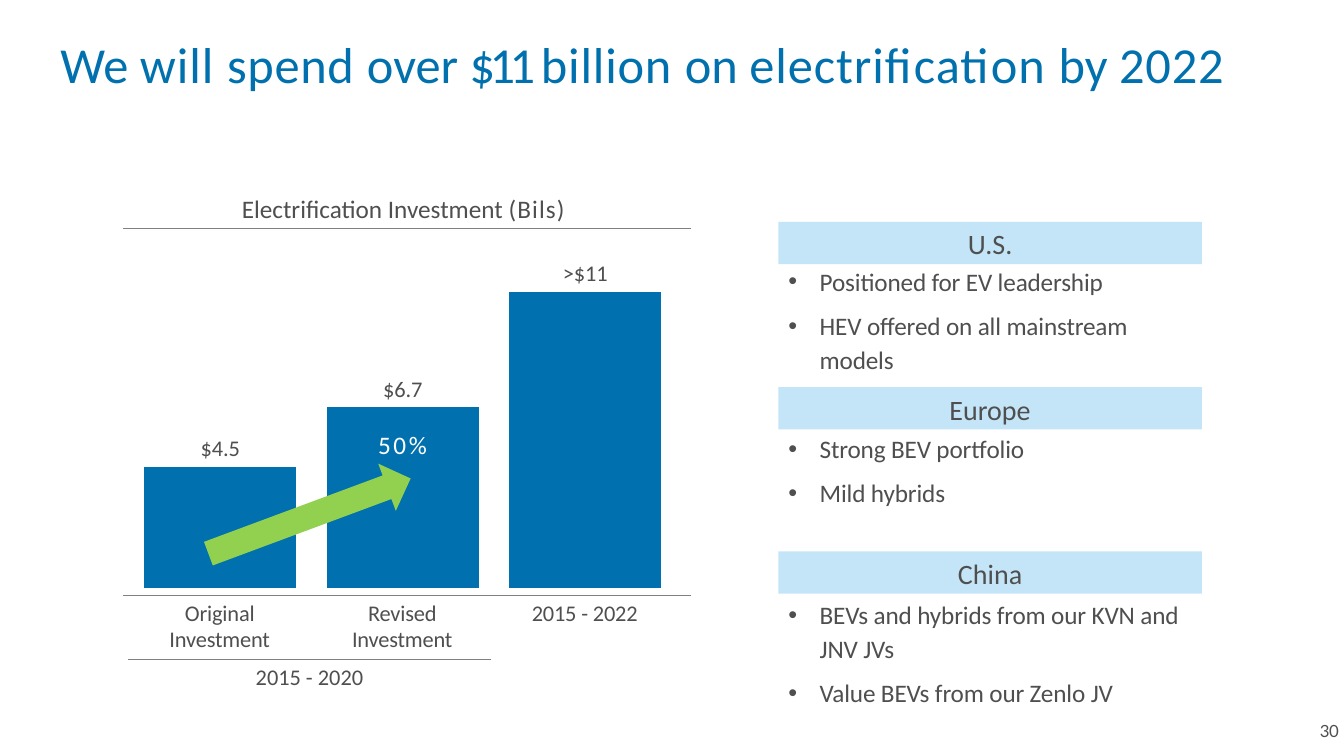
import pptx
import pptx.util
import pptx.chart.data
import pptx.dml.color
import pptx.enum.chart
import pptx.enum.shapes
import pptx.enum.text
import pptx.oxml
import pptx.oxml.ns
from pptx.util import Inches, Pt

THEME = {
    "blue": "0071AE", "pale": "C4E5F7", "green": "92D050",
    "text": "4F4F4F", "rule": "808080", "white": "FFFFFF",
    "font": "Calibri", "number_font": "Lato",
    "title": 36, "region": 20, "body": 18, "label": 16, "number": 12,
}

# Runs are (text, letter spacing in points)
TITLE = [("We ", 0), ("will ", 0.7), ("spend ", 0.5), ("over ", 0), ("$11 ", -4),
         ("billion ", 0.6), ("on ", 0), ("electrification ", 0.7), ("by ", 0), ("2022", 0.6)]
HEADING = [("Electrification Investment ", 0), ("(Bils)", 0.8)]
INVESTMENT = [("Original Investment", 4.5), ("Revised Investment", 6.7), ("2015 - 2022", 11)]
GROUP_LABEL = "2015 - 2020"
GROWTH = [("50%", 1.9)]
PAGE = "30"

# name, header top, list top, list width, [(bullet, line spacing, space before)]
REGIONS = [
    ("U.S.", 2.2, 2.64, 3.44, [("Positioned for EV leadership", 1, 0),
                               ("HEV offered on all mainstream models", 1.1, 8)]),
    ("Europe", 3.84, 4.3, 3.44, [("Strong BEV portfolio", 1, 0),
                                 ("Mild hybrids", 1, 10)]),
    ("China", 5.47, 5.92, 4.0, [("BEVs and hybrids from our KVN and JNV JVs", 1.1, 0),
                                ("Value BEVs from our Zenlo JV", 1, 10)]),
]
LIST_PLACEHOLDERS = (1, 2, 4)
REGION_LEFT, REGION_W, REGION_H = 7.72, 4.2, 0.42

# Plot area: bars stand on BASE, one slot per bar
PLOT_LEFT, SLOT, BASE = 1.28, 1.81, 5.83
PLOT_H, AXIS_MAX, GAP = 3.2, 12, 20
CHART = (1.22, 2.3, 5.63, 3.6)
RULES = [(1.22, 2.27, 5.63), (1.22, 5.91, 5.63), (1.27, 6.54, 3.6)]

ALIGN = pptx.enum.text.PP_ALIGN
ANCHOR = pptx.enum.text.MSO_ANCHOR
SHAPE = pptx.enum.shapes.MSO_SHAPE


def rgb(name):
    return pptx.dml.color.RGBColor.from_string(THEME[name])


def place(sp, left, top, width, height):
    sp.left, sp.top = Inches(left), Inches(top)
    sp.width, sp.height = Inches(width), Inches(height)


def write(p, text, size="label", color="text", font="font", align=ALIGN.LEFT,
          spacing=0.0, line=1, before=0):
    """Fill a paragraph from a string or a list of (text, letter spacing) runs."""
    p.alignment, p.line_spacing, p.space_before = align, line, Pt(before)
    for words, spc in [(text, spacing)] if isinstance(text, str) else text:
        r = p.add_run()
        r.text = words
        r.font.name, r.font.size = THEME[font], Pt(THEME[size])
        r.font.bold, r.font.color.rgb = False, rgb(color)
        r._r.get_or_add_rPr().set("spc", str(round(spc * 100)))


def frame(sp, top=0.01):
    tf = sp.text_frame
    tf.word_wrap = True
    tf.auto_size = pptx.enum.text.MSO_AUTO_SIZE.NONE
    tf.vertical_anchor = ANCHOR.TOP
    tf.margin_left = tf.margin_right = tf.margin_bottom = 0
    tf.margin_top = Inches(top)
    return tf


def add_label(s, text, left, top, width, height, **fmt):
    sp = s.shapes.add_textbox(*map(Inches, (left, top, width, height)))
    write(frame(sp).paragraphs[0], text, **fmt)


def add_filled(s, shape, color, left, top, width, height):
    sp = s.shapes.add_shape(shape, *map(Inches, (left, top, width, height)))
    sp.shadow.inherit = False
    sp.fill.solid()
    sp.fill.fore_color.rgb = rgb(color)
    sp.line.fill.background()
    return sp


def add_rule(s, left, top, width):
    line = s.shapes.add_connector(pptx.enum.shapes.MSO_CONNECTOR.STRAIGHT, Inches(left),
                                  Inches(top), Inches(left + width), Inches(top))
    line.line.color.rgb, line.line.width = rgb("rule"), Pt(0.96)
    pptx.oxml.ns.qn("a:effectLst")
    line._element.spPr.append(pptx.oxml.parse_xml(
        f'<a:effectLst {pptx.oxml.ns.nsdecls("a")}/>'))


def add_bullet(p):
    pPr = p._p.get_or_add_pPr()
    pPr.set("marL", str(Inches(0.33)))
    pPr.set("indent", str(Inches(-0.31)))
    ns = pptx.oxml.ns.nsdecls("a")
    pPr.append(pptx.oxml.parse_xml(f'<a:buFont {ns} typeface="Arial"/>'))
    pPr.append(pptx.oxml.parse_xml(f'<a:buChar {ns} char="•"/>'))


def fix_plot_area(chart):
    """Pin the inner plot area so that the bars line up with their labels."""
    left, top, width, height = CHART
    parts = {"x": (PLOT_LEFT - left) / width, "y": (BASE - PLOT_H - top) / height,
             "w": SLOT * len(INVESTMENT) / width, "h": PLOT_H / height}
    modes = "".join(f'<c:{k}Mode val="edge"/>' for k in "xy")
    sizes = "".join(f'<c:{k} val="{v:.4f}"/>' for k, v in parts.items())
    area = chart._chartSpace.chart.plotArea
    for old in area.findall(pptx.oxml.ns.qn("c:layout")):
        area.remove(old)
    area.insert(0, pptx.oxml.parse_xml(
        f'<c:layout {pptx.oxml.ns.nsdecls("c")}><c:manualLayout>'
        f'<c:layoutTarget val="inner"/>{modes}{sizes}</c:manualLayout></c:layout>'))


def add_investment_chart(s):
    data = pptx.chart.data.CategoryChartData()
    data.categories = [name for name, _ in INVESTMENT]
    data.add_series("Electrification Investment", [value for _, value in INVESTMENT])
    chart = s.shapes.add_chart(pptx.enum.chart.XL_CHART_TYPE.COLUMN_CLUSTERED,
                               *map(Inches, CHART), data).chart
    chart.has_legend = chart.has_title = False
    chart.font.name, chart.font.size = THEME["font"], Pt(THEME["label"])
    chart.font.color.rgb = rgb("text")
    axis = chart.value_axis
    axis.minimum_scale, axis.maximum_scale = 0, AXIS_MAX
    axis.has_major_gridlines = False
    axis.visible = chart.category_axis.visible = False
    plot = chart.plots[0]
    plot.gap_width, plot.vary_by_categories = GAP, False
    fill = plot.series[0].format.fill
    fill.solid()
    fill.fore_color.rgb = rgb("blue")
    plot.has_data_labels = True
    labels = plot.data_labels
    labels.show_value = True
    labels.number_format = '[>10]">$"0;"$"0.0'
    labels.number_format_is_linked = False
    labels.position = pptx.enum.chart.XL_LABEL_POSITION.OUTSIDE_END
    fix_plot_area(chart)


def add_region(s, body, name, header_top, list_top, list_width, bullets):
    header = add_filled(s, SHAPE.RECTANGLE, "pale", REGION_LEFT, header_top, REGION_W, REGION_H)
    write(frame(header, top=0.05).paragraphs[0], name, size="region", align=ALIGN.CENTER)
    place(body, 7.8, list_top, list_width, 1.12)
    tf = frame(body, top=0)
    for i, (text, line, before) in enumerate(bullets):
        p = tf.add_paragraph() if i else tf.paragraphs[0]
        add_bullet(p)
        write(p, text, size="body", spacing=-0.1, line=line, before=before)


def main():
    prs = pptx.Presentation()
    prs.slide_width, prs.slide_height = Inches(13.33), Inches(7.5)
    s = prs.slides.add_slide(prs.slide_layouts[4])
    bodies = {sp.placeholder_format.idx: sp for sp in s.placeholders}

    title = s.shapes.title
    place(title, 0.6, 0.32, 11.98, 1.18)
    write(frame(title).paragraphs[0], TITLE, size="title", color="blue")

    add_investment_chart(s)
    add_label(s, HEADING, 1.2, 1.91, 5.6, 0.33, size="body", align=ALIGN.CENTER)
    for rule in RULES:
        add_rule(s, *rule)
    for i, (name, _) in enumerate(INVESTMENT):
        add_label(s, name, PLOT_LEFT + SLOT * i + 0.15, 5.93, 1.5, 0.56,
                  align=ALIGN.CENTER, spacing=-0.1)
    add_label(s, GROUP_LABEL, 1.27, 6.57, 3.6, 0.29, align=ALIGN.CENTER)

    arrow = add_filled(s, SHAPE.RIGHT_ARROW, "green", 2, 4.87, 2.14, 0.5)
    arrow.rotation = -20.4
    add_label(s, GROWTH, 3.75, 4.25, 0.6, 0.33, size="body", color="white")

    for idx, region in zip(LIST_PLACEHOLDERS, REGIONS):
        add_region(s, bodies[idx], *region)
    bodies[3]._element.getparent().remove(bodies[3]._element)
    add_label(s, PAGE, 13.09, 7.14, 0.24, 0.23, size="number", font="number_font", spacing=-0.2)
    prs.save("out.pptx")


if __name__ == "__main__":
    main()
